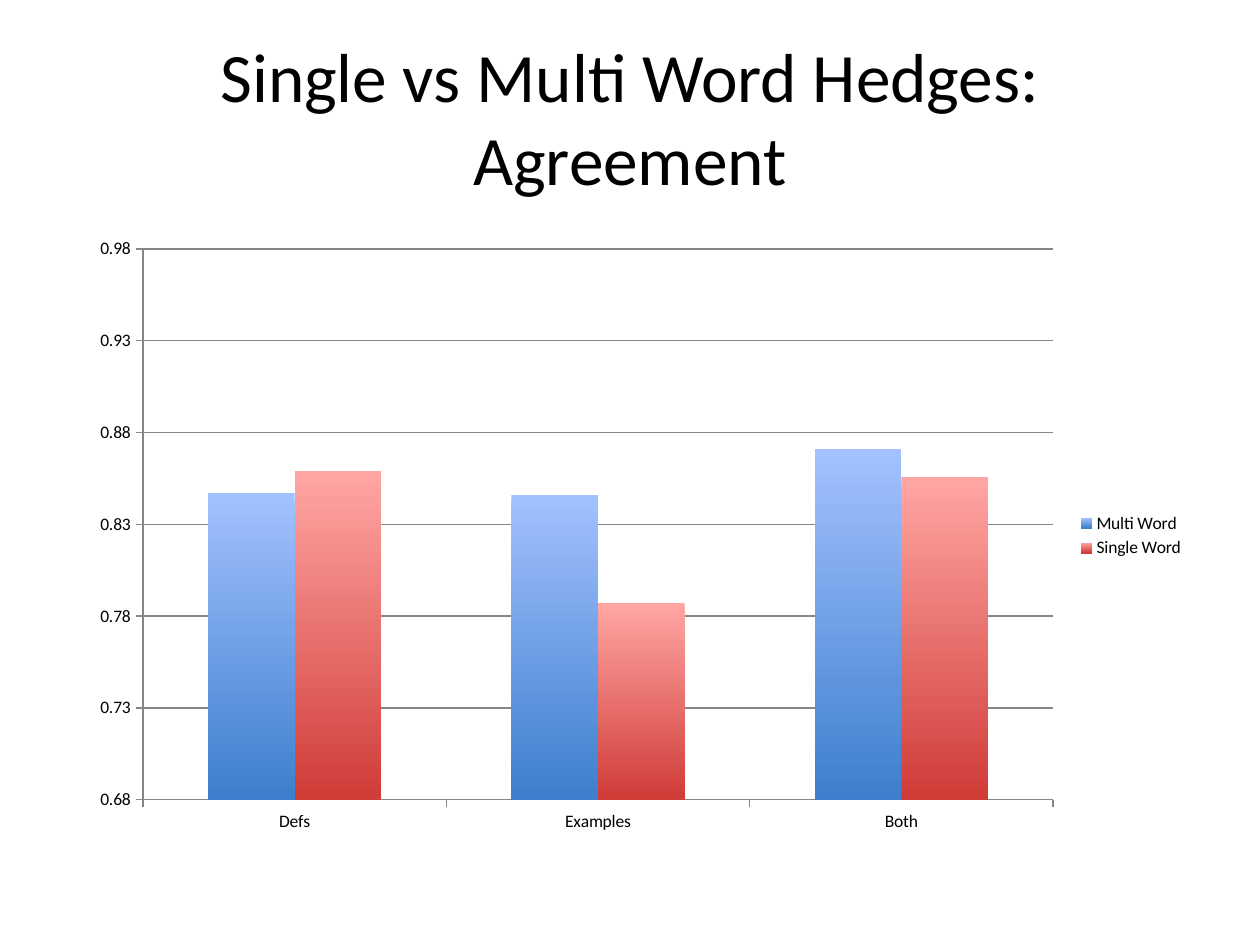
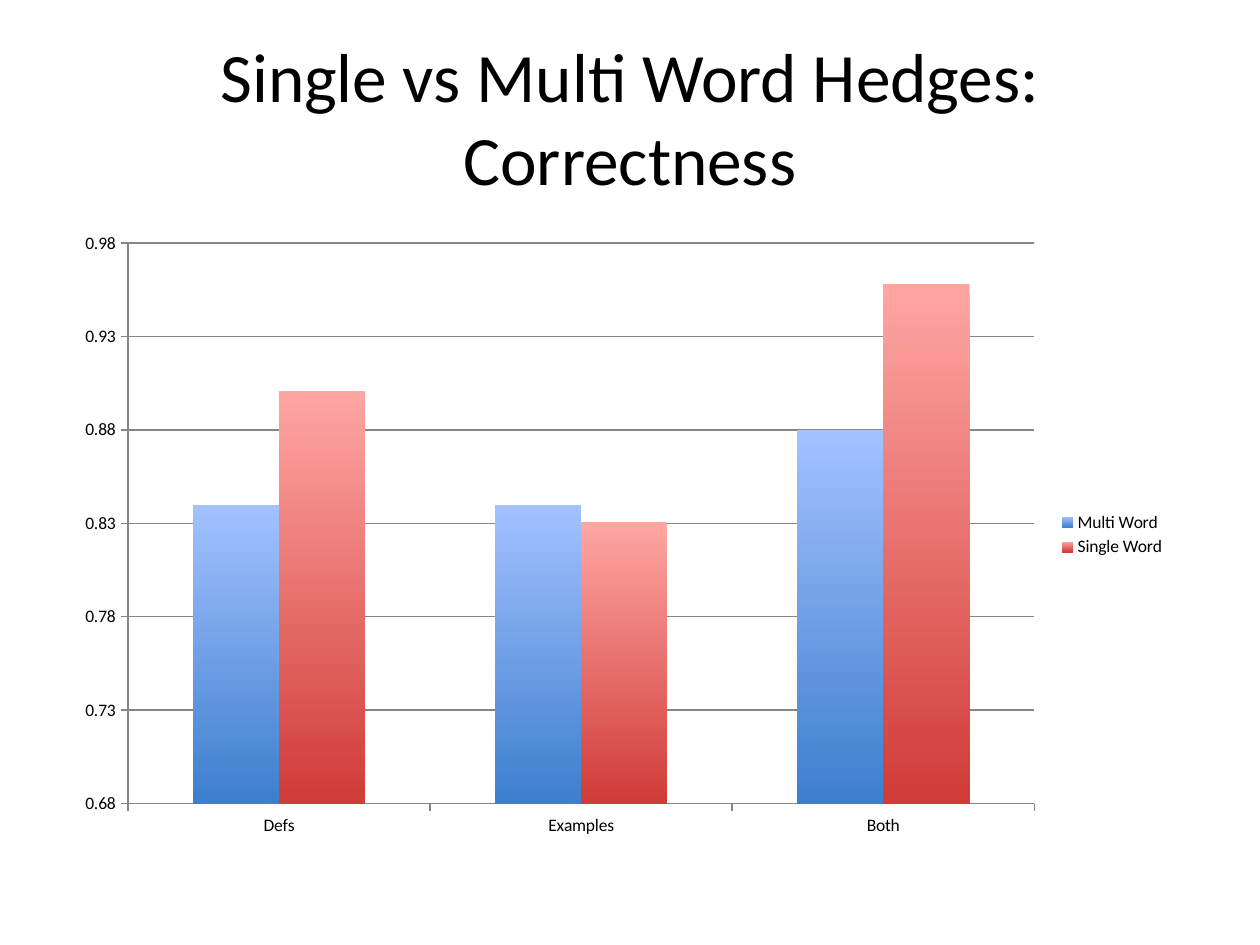
import pptx
import pptx.chart.data
import pptx.dml.color
import pptx.enum.chart
import pptx.enum.text
import pptx.util

Cm = pptx.util.Cm
Pt = pptx.util.Pt
RGBColor = pptx.dml.color.RGBColor

FONT = "Calibri"
BLACK = RGBColor(0x00, 0x00, 0x00)
GREY = RGBColor(0x86, 0x86, 0x86)
LIGHT_BLUE = RGBColor(0xA3, 0xC1, 0xFF)
DARK_BLUE = RGBColor(0x3D, 0x7F, 0xCD)
LIGHT_RED = RGBColor(0xFF, 0xA6, 0xA3)
DARK_RED = RGBColor(0xD0, 0x3C, 0x38)

CATEGORIES = ("Defs", "Examples", "Both")
GRADIENTS = {
    "Multi Word": (LIGHT_BLUE, DARK_BLUE),
    "Single Word": (LIGHT_RED, DARK_RED),
}


def add_title(page, measure):
    """Add the centred slide title for the given measure."""
    box = page.shapes.add_textbox(Cm(1.27), Cm(0.76), Cm(22.86), Cm(3.18))
    frame = box.text_frame
    frame.word_wrap = True
    frame.vertical_anchor = pptx.enum.text.MSO_ANCHOR.MIDDLE
    para = frame.paragraphs[0]
    para.text = f"Single vs Multi Word Hedges: {measure}"
    para.alignment = pptx.enum.text.PP_ALIGN.CENTER
    para.font.name = FONT
    para.font.size = Pt(39.6)
    para.font.color.rgb = BLACK


def style_line(line):
    """Give an axis or gridline the thin grey stroke."""
    line.color.rgb = GREY
    line.width = Pt(0.75)


def style_axes(chart):
    """Set the scale, ticks and gridlines of both axes."""
    for axis in (chart.category_axis, chart.value_axis):
        axis.major_tick_mark = pptx.enum.chart.XL_TICK_MARK.OUTSIDE
        axis.minor_tick_mark = pptx.enum.chart.XL_TICK_MARK.NONE
        style_line(axis.format.line)
    scale = chart.value_axis
    scale.minimum_scale = 0.68
    scale.maximum_scale = 0.98
    scale.major_unit = 0.05
    scale.has_major_gridlines = True
    style_line(scale.major_gridlines.format.line)


def fill_bars(series):
    """Fill a series with its gradient, light at the top."""
    series.invert_if_negative = False
    fill = series.format.fill
    fill.gradient()
    fill.gradient_angle = 270
    for stop, color in zip(fill.gradient_stops, GRADIENTS[series.name]):
        stop.color.rgb = color


def add_hedge_chart(page, area, multi_word, single_word):
    """Add the clustered columns that compare both kinds of hedge."""
    data = pptx.chart.data.CategoryChartData()
    data.categories = CATEGORIES
    for name, values in zip(GRADIENTS, (multi_word, single_word)):
        data.add_series(name, values)
    kind = pptx.enum.chart.XL_CHART_TYPE.COLUMN_CLUSTERED
    chart = page.shapes.add_chart(kind, *map(Cm, area), data).chart
    chart.has_title = False
    chart.font.name = FONT
    chart.font.size = Pt(10)
    chart.font.color.rgb = BLACK
    chart.has_legend = True
    chart.legend.position = pptx.enum.chart.XL_LEGEND_POSITION.RIGHT
    chart.legend.include_in_layout = False
    style_axes(chart)
    plot = chart.plots[0]
    plot.gap_width = 150
    plot.overlap = 0
    plot.vary_by_categories = False
    for series in plot.series:
        fill_bars(series)


def add_hedge_slide(deck, measure, area, multi_word, single_word):
    """Add one slide with its title and chart."""
    page = deck.slides.add_slide(deck.slide_layouts[6])
    add_title(page, measure)
    add_hedge_chart(page, area, multi_word, single_word)


def main():
    """Build and save the deck."""
    deck = pptx.Presentation()
    deck.slide_width = Cm(25.4)
    deck.slide_height = Cm(19.05)
    add_hedge_slide(deck, "Agreement", (1.57, 4.57, 22.56, 12.45),
                    (0.847, 0.846, 0.871), (0.859, 0.787, 0.856))
    add_hedge_slide(deck, "Correctness", (1.27, 4.45, 22.48, 12.65),
                    (0.84, 0.84, 0.88), (0.901, 0.831, 0.958))
    deck.save("out.pptx")


if __name__ == "__main__":
    main()
